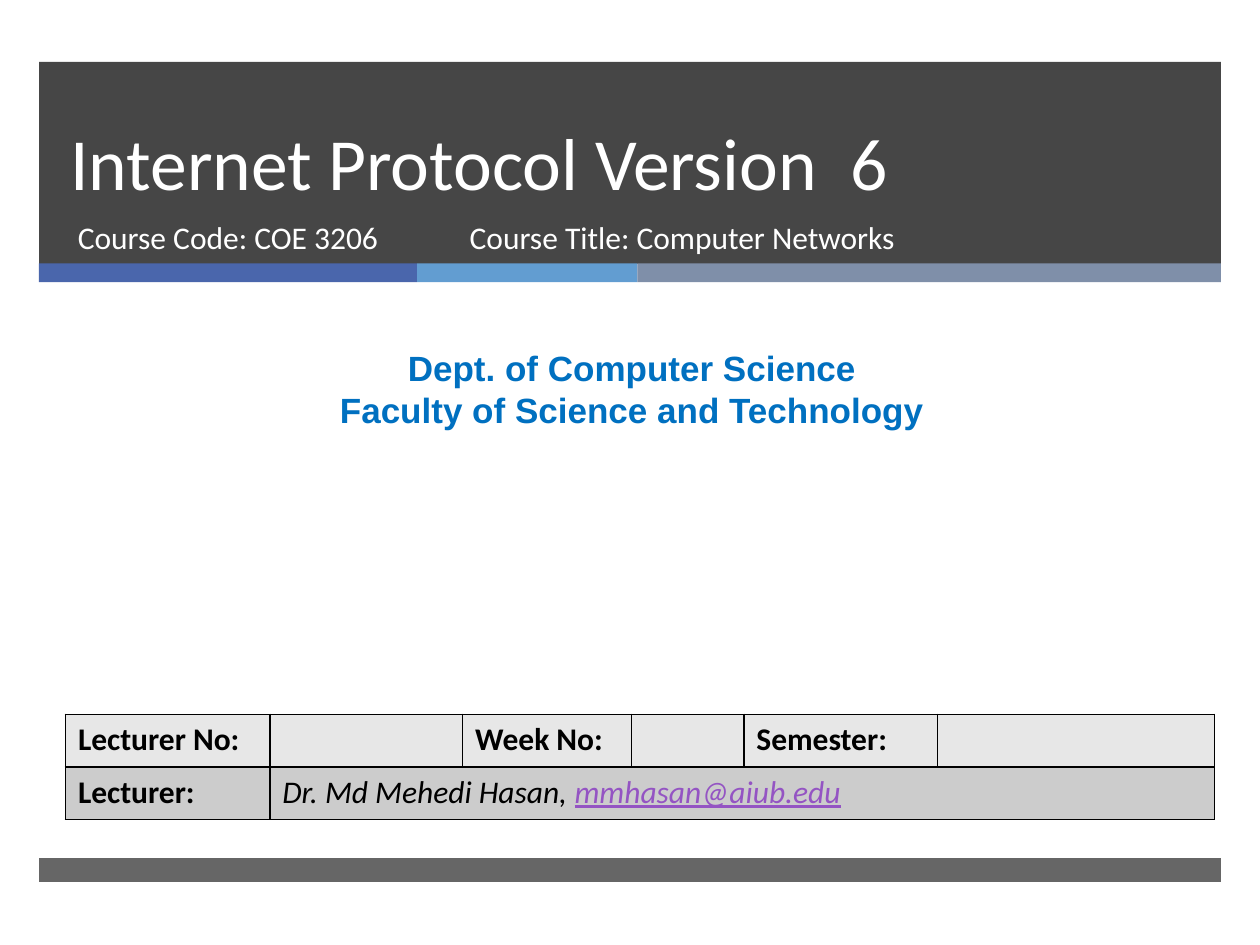
from dataclasses import dataclass

from lxml import etree
from pptx import Presentation
from pptx import util as u
from pptx.dml import color
from pptx.enum import shapes, text
from pptx.oxml import ns

Pt = u.Pt


@dataclass(frozen=True)
class Theme:
    """Colours, fonts and type sizes of the slide."""
    dark: str = "262626"
    white: str = "FFFFFF"
    black: str = "000000"
    accents: tuple = ("4A66AC", "629DD1", "7F8FA9")
    department: str = "0070C0"
    email: str = "9454C3"
    rows: tuple = ("E7E7E7", "CCCCCC")
    body_font: str = "Calibri"
    department_font: str = "Arial"
    title_size: int = 42
    department_size: int = 20
    body_size: int = 18


THEME = Theme()


def add_run(paragraph, words, colour, **formats):
    """Append a run whose font takes the given format values."""
    run = paragraph.add_run()
    run.text = words
    values = {"name": THEME.body_font, "size": Pt(THEME.body_size), **formats}
    for key, value in values.items():
        setattr(run.font, key, value)
    run.font.color.rgb = color.RGBColor.from_string(colour)


def add_bar(slide, box, colour, opacity=100):
    """Draw a plain filled rectangle without outline."""
    bar = slide.shapes.add_shape(shapes.MSO_SHAPE.RECTANGLE, *map(Pt, box))
    bar.shadow.inherit = False
    bar.line.fill.background()
    bar.fill.solid()
    bar.fill.fore_color.rgb = color.RGBColor.from_string(colour)
    if opacity < 100:
        rgb = bar.fill._xPr.find(".//" + ns.qn("a:srgbClr"))
        etree.SubElement(rgb, ns.qn("a:alpha"), val=str(opacity * 1000))


def add_text(slide, box, lines, colour, align=text.PP_ALIGN.LEFT,
             anchor=text.MSO_ANCHOR.TOP, spacing=None, **formats):
    """Place a wrapped text box with one paragraph for each line."""
    frame = slide.shapes.add_textbox(*map(Pt, box)).text_frame
    frame.word_wrap = True
    frame.vertical_anchor = anchor
    for index, line in enumerate(lines):
        paragraph = frame.add_paragraph() if index else frame.paragraphs[0]
        paragraph.alignment = align
        paragraph.line_spacing = spacing
        add_run(paragraph, line, colour, **formats)


def add_header(slide, box):
    """Draw the title banner with its course lines and accent strip."""
    left, top, width, height = box
    add_bar(slide, box, THEME.dark, 85)
    accent_left = left
    accent_widths = (216, 126, width - 342)
    for colour, accent_width in zip(THEME.accents, accent_widths):
        add_bar(slide, (accent_left, top + 115.2, accent_width, 10.8), colour)
        accent_left += accent_width
    add_text(slide, (left + 10.8, top, 615, 85.7), ["Internet Protocol Version  6"],
             THEME.white, anchor=text.MSO_ANCHOR.BOTTOM, spacing=Pt(46),
             size=Pt(THEME.title_size))
    course_top = top + 85.7
    add_text(slide, (left + 15.1, course_top, 220, 38),
             ["Course Code: COE 3206"], THEME.white)
    add_text(slide, (left + 239, course_top, 327.6, 38),
             ["Course Title: Computer Networks"], THEME.white)


def add_department(slide, box):
    """Place the centred department and faculty names."""
    add_text(slide, box, ["Dept. of Computer Science", "Faculty of Science and Technology"],
             THEME.department, align=text.PP_ALIGN.CENTER, bold=True,
             name=THEME.department_font, size=Pt(THEME.department_size))


def style_cell(cell, colour):
    """Fill a table cell and give it thin black borders."""
    cell.fill.solid()
    cell.fill.fore_color.rgb = color.RGBColor.from_string(colour)
    properties = cell._tc.get_or_add_tcPr()
    for index, side in enumerate(("lnL", "lnR", "lnT", "lnB")):
        border = etree.Element(ns.qn("a:" + side), w=str(Pt(1)))
        fill = etree.SubElement(border, ns.qn("a:solidFill"))
        etree.SubElement(fill, ns.qn("a:srgbClr"), val=THEME.black)
        properties.insert(index, border)


def add_lecture_table(slide, box):
    """Build the table of lecture details."""
    column_widths = (116.8, 110.2, 96.5, 64.2, 110.7, 158.2)
    labels = (("Lecturer No:", "", "Week No:", "", "Semester:", ""), ("Lecturer:",))
    table = slide.shapes.add_table(2, len(column_widths), *map(Pt, box)).table
    for column, width in zip(table.columns, column_widths):
        column.width = Pt(width)
    for row, colour, row_labels in zip(table.rows, THEME.rows, labels):
        row.height = Pt(box[3] / 2)
        for cell in row.cells:
            style_cell(cell, colour)
        for cell, label in zip(row.cells, row_labels):
            if label:
                add_run(cell.text_frame.paragraphs[0], label, THEME.black, bold=True)
    lecturer = table.cell(1, 1)
    lecturer.merge(table.cell(1, 5))
    paragraph = lecturer.text_frame.paragraphs[0]
    add_run(paragraph, "Dr. Md Mehedi Hasan, ", THEME.black, bold=False, italic=True)
    add_run(paragraph, "mmhasan@aiub.edu", THEME.email, bold=False, italic=True,
            underline=True)


def main():
    """Build and save the course title slide."""
    deck = Presentation()
    deck.slide_width, deck.slide_height = Pt(720), Pt(540)
    slide = deck.slides.add_slide(deck.slide_layouts[6])
    add_header(slide, (22.3, 35.3, 675.4, 115.5))
    add_bar(slide, (22.3, 490.3, 675.4, 13.7), THEME.dark, 70)
    add_department(slide, (5.8, 194.4, 710.6, 55.4))
    add_lecture_table(slide, (37.4, 408.2, 656.6, 60))
    deck.save("out.pptx")


if __name__ == "__main__":
    main()
